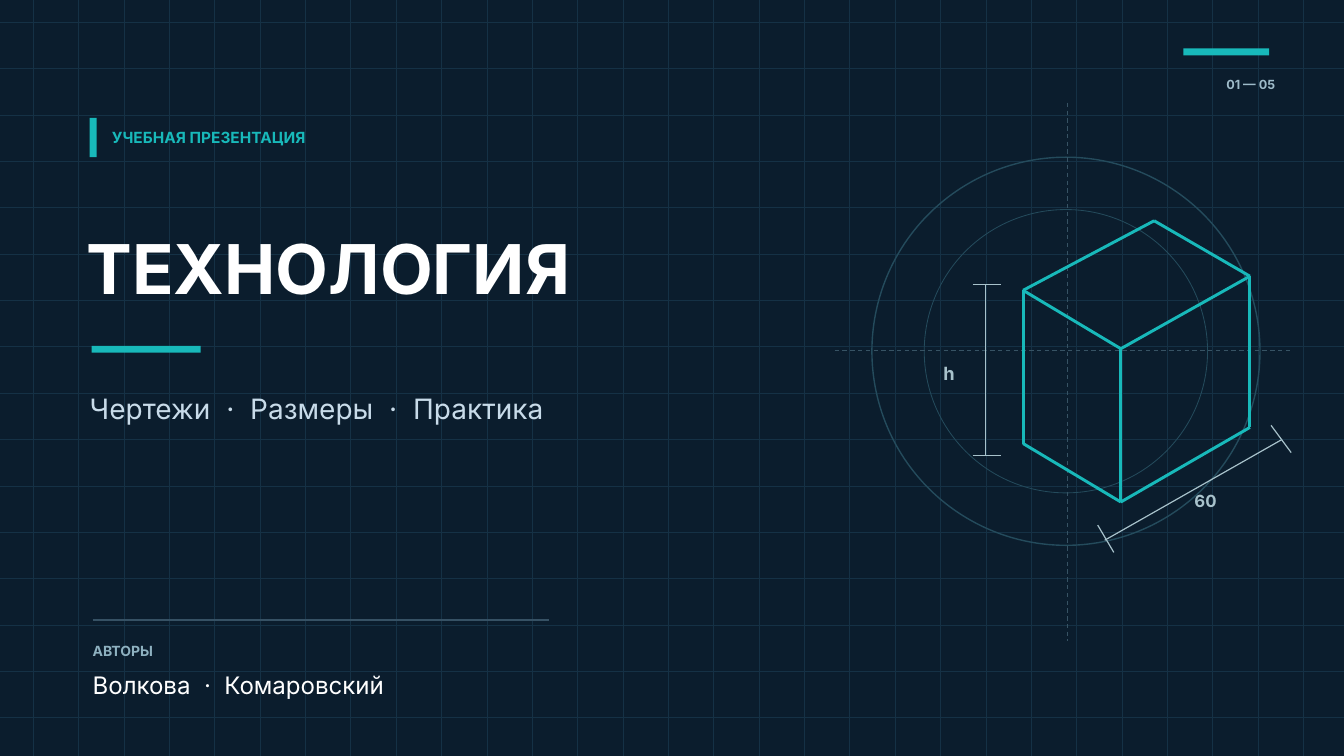
from lxml import etree
from pptx import Presentation
from pptx.dml.color import RGBColor
from pptx.enum import dml, shapes, text
from pptx.oxml.ns import qn
from pptx.util import Pt

WIDTH, HEIGHT = 960, 540
FONT = "Inter"
NAVY, GRID, TEAL, WHITE = "0B1D2D", "153145", "18B9BA", "FFFFFF"
CIRCLE, AXIS, DIVIDER, DIMENSION = "244B5C", "375364", "365164", "A8C2CB"
SUBTITLE, AUTHORS_LABEL, PAGE = "C8DBE9", "8EB1C0", "9EBBC9"


def rgb(color):
    return RGBColor.from_string(color)


def add_bar(slide, left, top, width, height, color):
    bar = slide.shapes.add_shape(
        shapes.MSO_SHAPE.RECTANGLE, Pt(left), Pt(top), Pt(width), Pt(height))
    bar.shadow.inherit = False
    bar.fill.solid()
    bar.fill.fore_color.rgb = rgb(color)
    bar.line.fill.background()


def add_circle(slide, center_x, center_y, radius, line_width):
    circle = slide.shapes.add_shape(
        shapes.MSO_SHAPE.OVAL, Pt(center_x - radius), Pt(center_y - radius),
        Pt(2 * radius), Pt(2 * radius))
    circle.shadow.inherit = False
    circle.fill.background()
    circle.line.color.rgb = rgb(CIRCLE)
    circle.line.width = Pt(line_width)


def add_line(slide, start, end, color, line_width, dashed=False):
    line = slide.shapes.add_connector(
        shapes.MSO_CONNECTOR.STRAIGHT, *map(Pt, (*start, *end)))
    line.line.color.rgb = rgb(color)
    line.line.width = Pt(line_width)
    if dashed:
        line.line.dash_style = dml.MSO_LINE.DASH
    etree.SubElement(line._element.spPr, qn("a:effectLst"))


def add_label(slide, left, top, width, height, words, size, color,
              bold=False, align=text.PP_ALIGN.LEFT, wide_spaces=False):
    box = slide.shapes.add_textbox(Pt(left), Pt(top), Pt(width), Pt(height))
    frame = box.text_frame
    frame.margin_left = frame.margin_right = 0
    frame.margin_top = frame.margin_bottom = 0
    frame.vertical_anchor = text.MSO_ANCHOR.MIDDLE
    frame.auto_size = text.MSO_AUTO_SIZE.SHAPE_TO_FIT_TEXT
    frame.word_wrap = True
    paragraph = frame.paragraphs[0]
    paragraph.alignment = align
    if wide_spaces:
        add_wide_spaced_runs(paragraph, words, size)
    else:
        paragraph.text = words
    for run in paragraph.runs:
        run.font.name = FONT
        run.font.size = Pt(size)
        run.font.bold = bold
        run.font.color.rgb = rgb(color)


def add_wide_spaced_runs(paragraph, words, size):
    """Add the words with every space about twice its normal width."""
    extra = round(0.28 * size * 100)
    for index, word in enumerate(words.split()):
        if index:
            space = paragraph.add_run()
            space.text = " "
            space.font._element.set("spc", str(extra))
        paragraph.add_run().text = word


def add_grid(slide):
    for column in range(29):
        x = 23.76 + 32.4 * column
        add_line(slide, (x, 0), (x, HEIGHT), GRID, 0.43)
    for row in range(16):
        y = 15.84 + 33.12 * row
        add_line(slide, (0, y), (WIDTH, y), GRID, 0.43)


def add_cube(slide):
    left_top, left_bottom = (730.8, 207.4), (730.8, 316.8)
    front_top, front_bottom = (800.6, 249.1), (800.6, 358.6)
    right_top, right_bottom = (892.8, 197.3), (892.8, 305.3)
    back_top = (824.4, 157.7)
    outline = [left_top, back_top, right_top, front_top, left_top,
               left_bottom, front_bottom, right_bottom, right_top]
    edges = [*zip(outline, outline[1:]), (front_top, front_bottom)]
    for start, end in edges:
        add_line(slide, start, end, TEAL, 2.1)


def add_dimension(slide, line_width, *segments):
    """Draw a measuring line and its two end ticks."""
    for start, end in segments:
        add_line(slide, start, end, DIMENSION, line_width)


def add_drawing(slide):
    add_circle(slide, 761.4, 250.9, 138.6, 1)
    add_circle(slide, 761.4, 250.9, 101.2, 0.6)
    add_line(slide, (596.2, 250.6), (921.6, 250.6), AXIS, 0.79, dashed=True)
    add_line(slide, (762.5, 73.4), (762.5, 457.9), AXIS, 0.79, dashed=True)
    add_cube(slide)
    add_dimension(slide, 0.75,
                  ((704.2, 203), (704.2, 325.4)),
                  ((694.8, 203), (715, 203)),
                  ((694.8, 325.4), (715, 325.4)))
    add_label(slide, 673.9, 258.5, 25.2, 15.8, "h", 13, DIMENSION, bold=True)
    add_dimension(slide, 0.85,
                  ((789.1, 385.9), (915.8, 313.9)),
                  ((784.1, 375.1), (795.6, 394.6)),
                  ((907.9, 303.8), (922.3, 323.3)))
    add_label(slide, 853.2, 350.6, 43.2, 14.4, "60", 12, DIMENSION, bold=True)


def add_title_block(slide):
    add_bar(slide, 64.1, 84.2, 5, 28.1, TEAL)
    add_label(slide, 79.9, 91.4, 360, 13, "УЧЕБНАЯ ПРЕЗЕНТАЦИЯ", 11, TEAL, bold=True)
    add_label(slide, 61.9, 161.3, 695, 59, "ТЕХНОЛОГИЯ", 49, WHITE, bold=True)
    add_bar(slide, 65.5, 247, 77.8, 5, TEAL)
    add_label(slide, 64.1, 280.1, 626, 23.8, "Чертежи · Размеры · Практика",
              20, SUBTITLE, wide_spaces=True)


def add_authors(slide):
    add_line(slide, (66.2, 442.8), (392.4, 442.8), DIVIDER, 1)
    add_label(slide, 66.2, 458.6, 100.8, 12.2, "АВТОРЫ", 10, AUTHORS_LABEL, bold=True)
    add_label(slide, 66.2, 478.8, 504, 20.9, "Волкова · Комаровский",
              17.2, WHITE, wide_spaces=True)


def add_page_mark(slide):
    add_bar(slide, 845.3, 34.6, 61.2, 5, TEAL)
    add_label(slide, 838.8, 54.7, 72, 10.8, "01 — 05", 9, PAGE,
              bold=True, align=text.PP_ALIGN.RIGHT)


def main():
    presentation = Presentation()
    presentation.slide_width, presentation.slide_height = Pt(WIDTH), Pt(HEIGHT)
    slide = presentation.slides.add_slide(presentation.slide_layouts[6])
    add_bar(slide, 0, 0, WIDTH, HEIGHT, NAVY)
    add_grid(slide)
    add_title_block(slide)
    add_authors(slide)
    add_drawing(slide)
    add_page_mark(slide)
    presentation.save("out.pptx")


if __name__ == "__main__":
    main()
